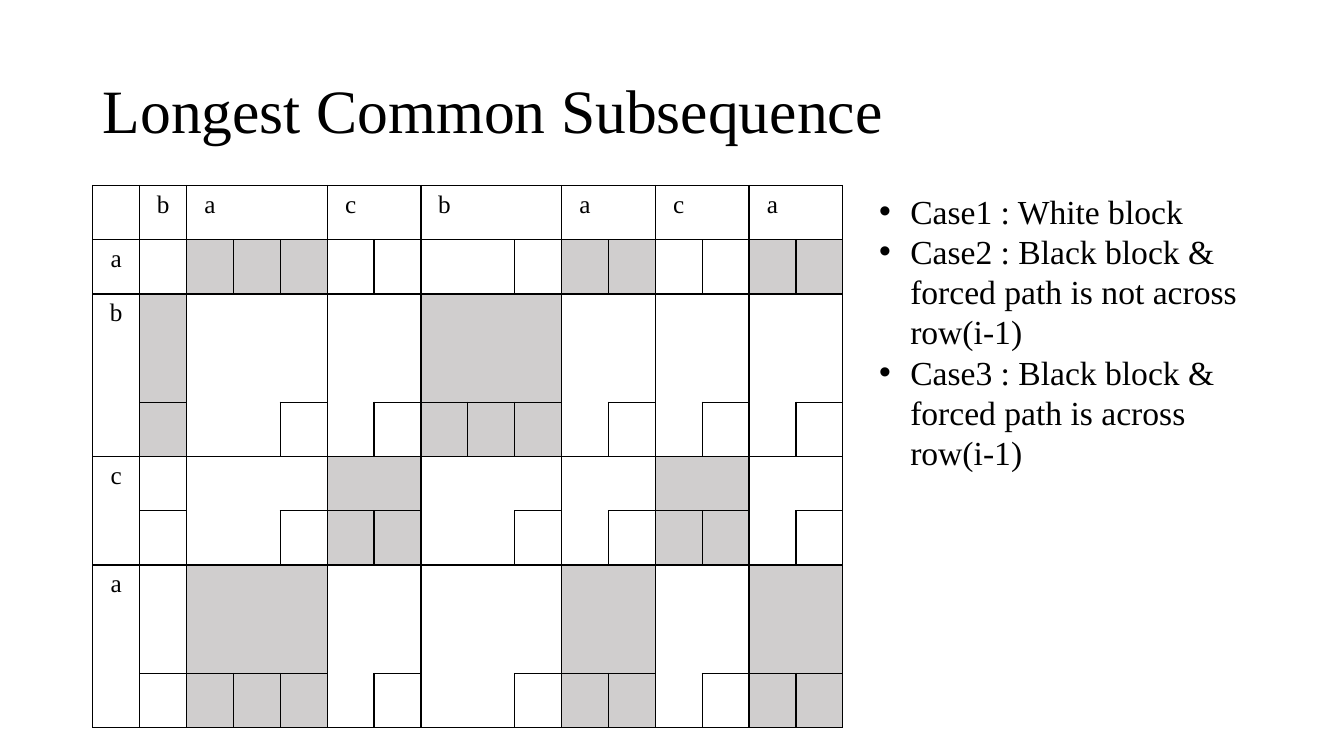
from lxml import etree
from pptx import Presentation
from pptx.dml.color import RGBColor
from pptx.enum.text import MSO_ANCHOR, PP_ALIGN
from pptx.oxml.ns import qn
from pptx.util import Inches, Pt

CENTER, LEFT = PP_ALIGN.CENTER, PP_ALIGN.LEFT
MIDDLE, TOP = MSO_ANCHOR.MIDDLE, MSO_ANCHOR.TOP
FONT, BLACK, GRAY = "Times New Roman", "000000", "D0CECE"

# Content: each run of equal letters is (letter, length); the first entry is the header
TITLE = "Longest Common Subsequence"
ROW_RUNS = [("", 1), ("a", 1), ("b", 3), ("c", 2), ("a", 3)]
COLUMN_RUNS = [("", 1), ("b", 1), ("a", 3), ("c", 2), ("b", 3), ("a", 2), ("c", 2), ("a", 2)]
CASES = [
    "Case1 : White block",
    "Case2 : Black block & forced path is not across row(i-1)",
    "Case3 : Black block & forced path is across row(i-1)",
]

# Layout in inches
SLIDE_WIDTH, SLIDE_HEIGHT = 13.33, 7.5
GRID_LEFT, GRID_TOP, GRID_WIDTH, GRID_HEIGHT = 0.92, 1.84, 7.44, 5.38
BULLET_INDENT = 0.31


def color(hex_string):
    return RGBColor.from_string(hex_string)


def write(frame, lines, size, align=LEFT, anchor=TOP, spacing=1.0, bullet=None):
    frame.word_wrap = True
    frame.vertical_anchor = anchor
    for index, line in enumerate(lines):
        paragraph = frame.add_paragraph() if index else frame.paragraphs[0]
        if bullet:
            properties = paragraph._p.get_or_add_pPr()
            indent = Inches(BULLET_INDENT)
            properties.set("marL", str(indent))
            properties.set("indent", str(-indent))
            etree.SubElement(properties, qn("a:buFont")).set("typeface", "Arial")
            etree.SubElement(properties, qn("a:buChar")).set("char", bullet)
        paragraph.alignment = align
        paragraph.line_spacing = spacing
        run = paragraph.add_run()
        run.text = line
        run.font.name, run.font.size = FONT, Pt(size)
        run.font.color.rgb = color(BLACK)


def add_text(slide, box, lines, **text_format):
    shape = slide.shapes.add_textbox(*(Inches(length) for length in box))
    write(shape.text_frame, lines, **text_format)


def set_borders(cell, sides):
    properties = cell._tc.get_or_add_tcPr()
    for side, visible in sides.items():
        line = etree.SubElement(properties, qn("a:ln" + side))
        line.set("w", str(Pt(1)))
        if visible:
            fill = etree.SubElement(line, qn("a:solidFill"))
            etree.SubElement(fill, qn("a:srgbClr")).set("val", BLACK)
        else:
            etree.SubElement(line, qn("a:noFill"))


def expand(runs):
    """One (run number, letter, position in run, is last) entry per grid line."""
    return [(number, letter, position, position == length - 1)
            for number, (letter, length) in enumerate(runs)
            for position in range(length)]


def fill_cell(cell, row, column):
    row_run, row_letter, row_position, last_row = row
    column_run, column_letter, column_position, last_column = column
    header = row_run == 0 or column_run == 0
    match = not header and row_letter == column_letter
    corner = not header and last_row and last_column

    # A match splits its whole last row; any other block splits off its corner
    split_row = match and last_row
    row_above_corner = not header and last_column
    set_borders(cell, {
        "L": column_position == 0 or split_row or corner,
        "R": last_column or split_row or (not header and last_row and is_before_last(column, COLUMN_RUNS)),
        "T": row_position == 0 or split_row or corner,
        "B": last_row or ((match or row_above_corner) and is_before_last(row, ROW_RUNS)),
    })
    if match:
        cell.fill.solid()
        cell.fill.fore_color.rgb = color(GRAY)
    else:
        cell.fill.background()
    if header and row_position == 0 and column_position == 0:
        letter = row_letter or column_letter
        if letter:
            write(cell.text_frame, [letter], size=18, align=CENTER)


def is_before_last(entry, runs):
    return entry[2] == runs[entry[0]][1] - 2


def add_grid(slide):
    rows, columns = expand(ROW_RUNS), expand(COLUMN_RUNS)
    box = (GRID_LEFT, GRID_TOP, GRID_WIDTH, GRID_HEIGHT)
    frame = slide.shapes.add_table(len(rows), len(columns), *(Inches(length) for length in box))
    table = frame.table
    table.first_row = table.horz_banding = False
    for row_index, row in enumerate(rows):
        for column_index, column in enumerate(columns):
            fill_cell(table.cell(row_index, column_index), row, column)


def main():
    presentation = Presentation()
    presentation.slide_width = Inches(SLIDE_WIDTH)
    presentation.slide_height = Inches(SLIDE_HEIGHT)
    slide = presentation.slides.add_slide(presentation.slide_layouts[6])

    # Title, block grid and list of cases
    add_text(slide, (GRID_LEFT, 0.4, 11.5, 1.45), [TITLE], size=44, anchor=MIDDLE, spacing=0.9)
    add_grid(slide)
    add_text(slide, (8.62, GRID_TOP, 4.36, 2.93), CASES, size=24, bullet="•")

    presentation.save("out.pptx")


if __name__ == "__main__":
    main()
